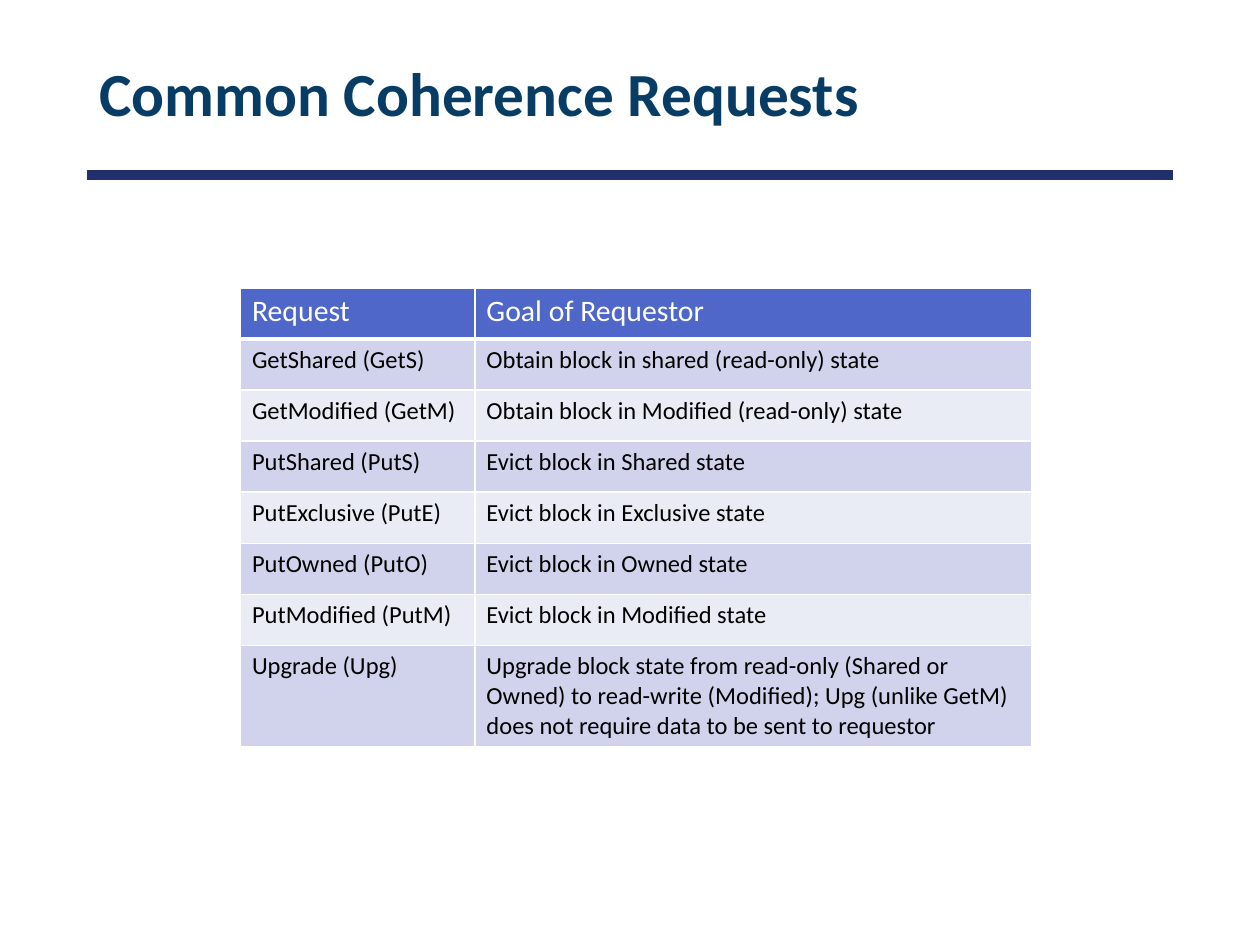
from lxml.etree import SubElement as Sub
from pptx import Presentation
from pptx.dml.color import RGBColor as RGB
from pptx.enum.shapes import MSO_CONNECTOR as Conn
from pptx.enum.text import MSO_ANCHOR as Anchor, MSO_AUTO_SIZE as Fit, PP_ALIGN as Align
from pptx.oxml.ns import qn
from pptx.util import Pt

COLORS = {
    "title": "073C65", "rule": "21306A", "head": "4E67C8",
    "odd": "D0D3EB", "even": "E9EBF5", "white": "FFFFFF", "text": "000000",
}
ROWS = [
    ("Request", "Goal of Requestor"),
    ("GetShared (GetS)", "Obtain block in shared (read-only) state"),
    ("GetModified (GetM)", "Obtain block in Modified (read-only) state"),
    ("PutShared (PutS)", "Evict block in Shared state"),
    ("PutExclusive (PutE)", "Evict block in Exclusive state"),
    ("PutOwned (PutO)", "Evict block in Owned state"),
    ("PutModified (PutM)", "Evict block in Modified state"),
    ("Upgrade (Upg)", "Upgrade block state from read-only (Shared or Owned) to "
     "read-write (Modified); Upg (unlike GetM) does not require data to be sent "
     "to requestor"),
]


def color(name):
    return RGB.from_string(COLORS[name])


def write(frame, text, size=14, tint="text", bold=False, space=1.0):
    frame.word_wrap = True
    para = frame.paragraphs[0]
    para.alignment = Align.LEFT
    para.line_spacing = space
    run = para.add_run()
    run.text = text
    font = run.font
    font.name, font.size, font.bold = "Calibri", Pt(size), bold
    font.color.rgb = color(tint)


def add_title(slide, left, top, width, height):
    title = slide.shapes.title
    title.left, title.top = Pt(left), Pt(top)
    title.width, title.height = Pt(width), Pt(height)
    frame = title.text_frame
    frame.auto_size = Fit.NONE
    frame.vertical_anchor = Anchor.MIDDLE
    write(frame, "Common Coherence Requests", size=35, tint="title",
          bold=True, space=0.9)


def add_rule(slide, left, top, width):
    line = slide.shapes.add_connector(
        Conn.STRAIGHT, Pt(left), Pt(top), Pt(left + width), Pt(top))
    line.line.color.rgb = color("rule")
    line.line.width = Pt(6)
    Sub(line._element.spPr, qn("a:effectLst"))


def set_edges(cell, **widths):
    props = cell._tc.get_or_add_tcPr()
    for side in "LRTB":
        edge = Sub(props, qn(f"a:ln{side}"), w=str(Pt(widths.get(side, 1))))
        fill = Sub(edge, qn("a:solidFill"))
        Sub(fill, qn("a:srgbClr"), val=COLORS["white"])


def add_grid(slide, left, top, width, height):
    first, row = 134, 29.2
    grid = slide.shapes.add_table(
        len(ROWS), 2, Pt(left), Pt(top), Pt(width), Pt(height)).table
    for col, size in zip(grid.columns, (first, width - first)):
        col.width = Pt(size)
    # The last row takes what the equal rows leave
    last = len(ROWS) - 1
    for i, texts in enumerate(ROWS):
        grid.rows[i].height = Pt(row if i < last else height - row * last)
        shade = "head" if i == 0 else "odd" if i % 2 else "even"
        for j, text in enumerate(texts):
            cell = grid.cell(i, j)
            cell.margin_left = cell.margin_right = Pt(6.5)
            cell.margin_top = cell.margin_bottom = Pt(3.3)
            # A thick line parts the header from the body
            set_edges(cell, T=3 if i == 1 else 1, B=3 if i == 0 else 1)
            cell.fill.solid()
            cell.fill.fore_color.rgb = color(shade)
            if i == 0:
                write(cell.text_frame, text, size=17, tint="white")
            else:
                write(cell.text_frame, text)


def main():
    deck = Presentation()
    deck.slide_width, deck.slide_height = Pt(720), Pt(540)
    slide = deck.slides.add_slide(deck.slide_layouts[5])
    add_rule(slide, 49.5, 100, 621)
    add_title(slide, 49.5, 16.5, 621, 78)
    add_grid(slide, 137.5, 164.5, 452, 262)
    deck.save("out.pptx")


if __name__ == "__main__":
    main()
